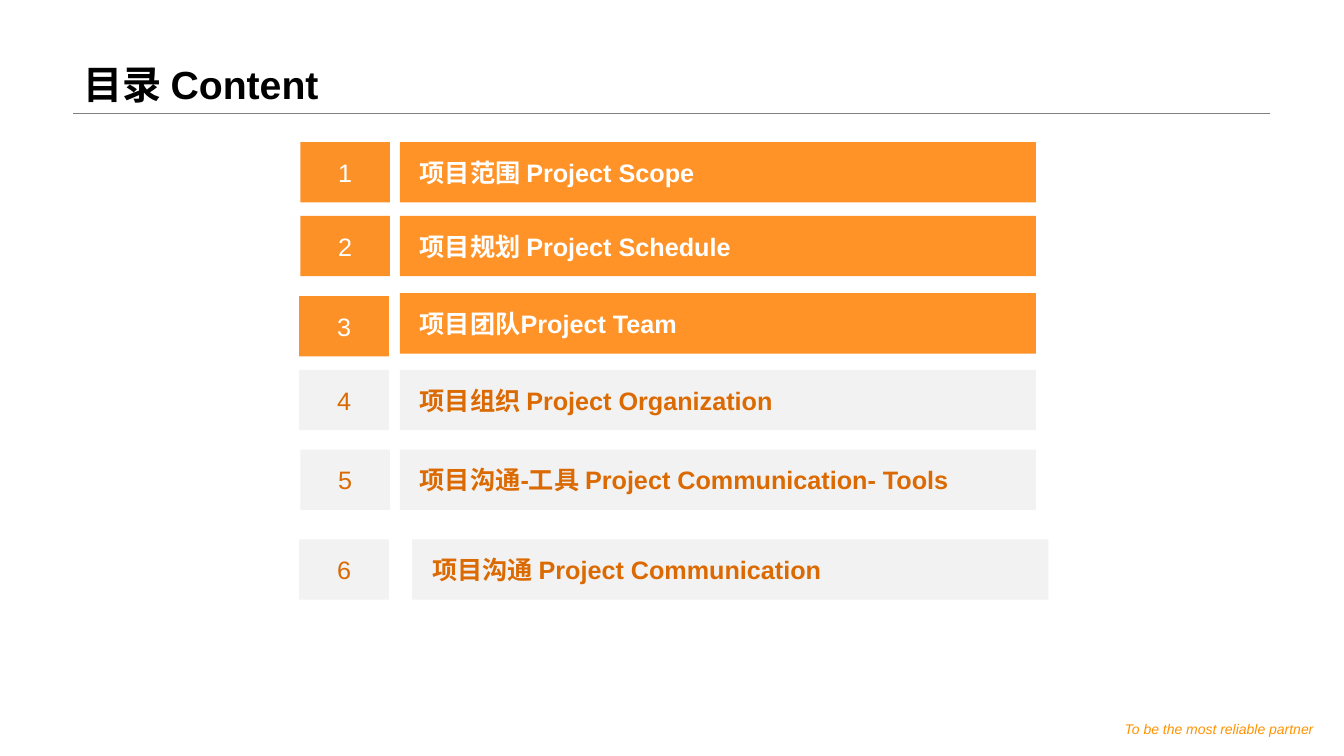
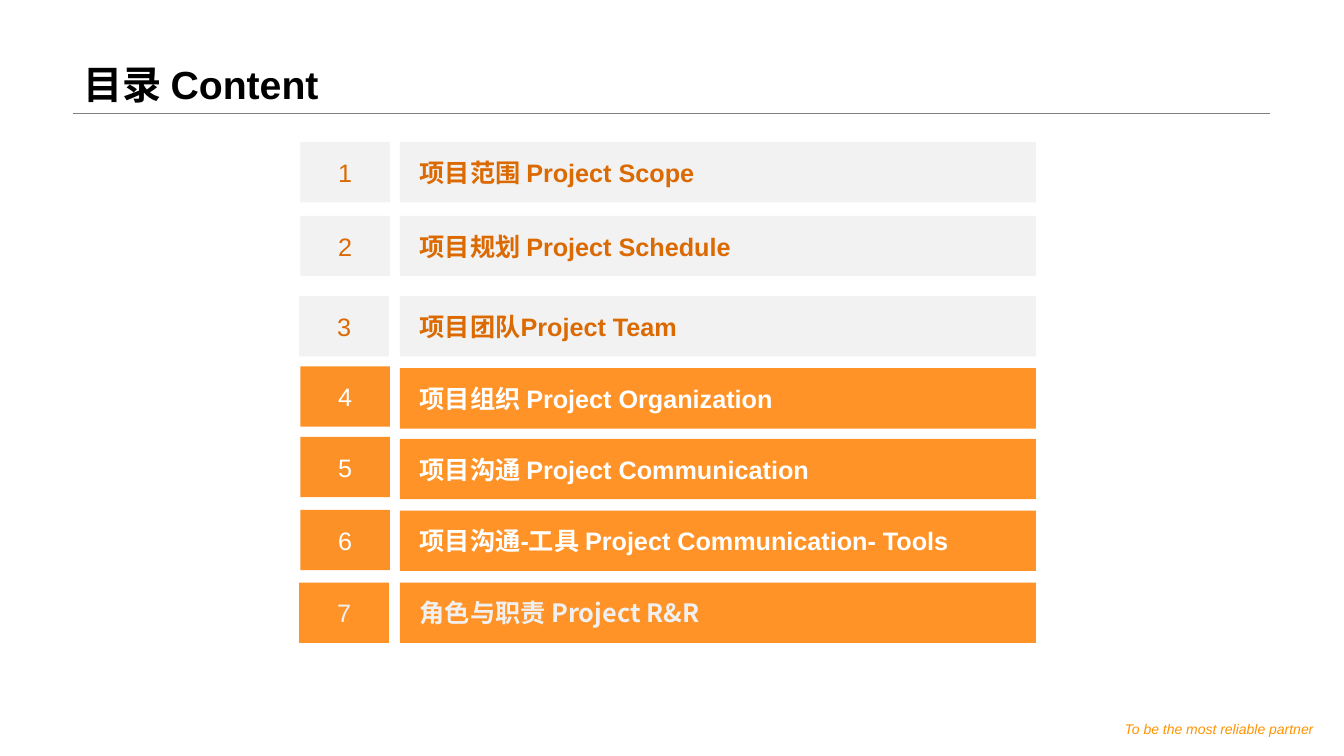
import dataclasses

import lxml.etree
import pptx
import pptx.dml.color
import pptx.enum.shapes
import pptx.enum.text
import pptx.oxml.ns
import pptx.util

Cm = pptx.util.Cm
Pt = pptx.util.Pt
ANCHOR = pptx.enum.text.MSO_ANCHOR
ALIGN = pptx.enum.text.PP_ALIGN
FIT = pptx.enum.text.MSO_AUTO_SIZE

LATIN = "Arial"
CHINESE = "Noto Sans CJK SC"
MARGIN, CONTENT_WIDTH, RULE_TOP = 1.85, 30.15, 2.84
AGENDA_LEFT = 7.54
LABEL_OFFSET = 2.54
NUMBER_WIDTH, LABEL_WIDTH, ENTRY_HEIGHT = 2.26, 16.03, 1.52


@dataclasses.dataclass
class Style:
    """Colours and Latin font of an agenda entry."""
    number_fill: str
    label_fill: str
    ink: str
    label_font: str = LATIN


@dataclasses.dataclass
class Entry:
    """One agenda entry, with its top and small shifts of its two cells."""
    label: str
    top: float
    style: Style
    number_shift: float = 0
    label_shift: float = 0
    label_drop: float = 0


ACTIVE = Style("FC9127", "FF9328", "FFFFFF")
QUIET = Style("F2F2F2", "F2F2F2", "DB6A03")
CLOSING = Style("FF9328", "FF9328", "F0F0F0", CHINESE)

SCOPE = "项目范围 Project Scope"
SCHEDULE = "项目规划 Project Schedule"
TEAM = "项目团队Project Team"
ORGANIZATION = "项目组织 Project Organization"
COMMUNICATION = "项目沟通 Project Communication"
TOOLS = "项目沟通-工具 Project Communication- Tools"
ROLES = "角色与职责 Project R&R"

AGENDAS = [
    [
        Entry(SCOPE, 3.58, ACTIVE, 0.03),
        Entry(SCHEDULE, 5.44, ACTIVE, 0.03),
        Entry(TEAM, 7.46, ACTIVE, label_drop=-0.07),
        Entry(ORGANIZATION, 9.32, QUIET),
        Entry(TOOLS, 11.33, QUIET, 0.03),
        Entry(COMMUNICATION, 13.59, QUIET, label_shift=0.31),
    ],
    [
        Entry(SCOPE, 3.58, QUIET, 0.03),
        Entry(SCHEDULE, 5.44, QUIET, 0.03),
        Entry(TEAM, 7.46, QUIET),
        Entry(ORGANIZATION, 9.23, ACTIVE, 0.03, label_drop=0.05),
        Entry(COMMUNICATION, 11.01, ACTIVE, 0.03, label_drop=0.05),
        Entry(TOOLS, 12.85, ACTIVE, 0.03, label_drop=0.02),
        Entry(ROLES, 14.68, CLOSING),
    ],
]


def rgb(code):
    """Turn a hex string into a colour."""
    return pptx.dml.color.RGBColor.from_string(code)


def write(frame, text, size, ink, align=ALIGN.LEFT, font=LATIN, bold=False, italic=False):
    """Fill a text frame with one formatted paragraph and return the paragraph."""
    frame.text = text
    paragraph = frame.paragraphs[0]
    paragraph.alignment = align
    run = paragraph.runs[0]
    run.font.size = Pt(size)
    run.font.bold = bold
    run.font.italic = italic
    run.font.color.rgb = rgb(ink)
    run.font.name = font
    east_asian = lxml.etree.SubElement(run._r.get_or_add_rPr(), pptx.oxml.ns.qn("a:ea"))
    east_asian.set("typeface", CHINESE)
    return paragraph


def set_insets(frame, left, top, right, bottom):
    """Set the four text insets in centimetres."""
    frame.margin_left, frame.margin_top = Cm(left), Cm(top)
    frame.margin_right, frame.margin_bottom = Cm(right), Cm(bottom)


def add_cell(slide, left, top, width, fill):
    """Add a plain rectangle of an agenda entry and return its text frame."""
    cell = slide.shapes.add_shape(
        pptx.enum.shapes.MSO_SHAPE.RECTANGLE, Cm(left), Cm(top), Cm(width), Cm(ENTRY_HEIGHT))
    cell.shadow.inherit = False
    cell.fill.solid()
    cell.fill.fore_color.rgb = rgb(fill)
    cell.line.fill.background()
    cell.text_frame.vertical_anchor = ANCHOR.MIDDLE
    return cell.text_frame


def add_entry(slide, left, number, entry):
    """Add the number cell and label cell of an agenda entry."""
    style = entry.style
    number_frame = add_cell(
        slide, left + entry.number_shift, entry.top, NUMBER_WIDTH, style.number_fill)
    set_insets(number_frame, 0, 0, 0, 0)
    number_frame.word_wrap = False
    write(number_frame, str(number), 18, style.ink, ALIGN.CENTER)

    label_frame = add_cell(
        slide, left + LABEL_OFFSET + entry.label_shift, entry.top + entry.label_drop,
        LABEL_WIDTH, style.label_fill)
    set_insets(label_frame, 0.5, 0.13, 0.2, 0.13)
    label_frame.word_wrap = True
    write(label_frame, entry.label, 18, style.ink, font=style.label_font, bold=True)


def add_frame_parts(slide, layout):
    """Build the title rule and tagline and move them to the shared layout."""
    rule = slide.shapes.add_connector(
        pptx.enum.shapes.MSO_CONNECTOR.STRAIGHT,
        Cm(MARGIN), Cm(RULE_TOP), Cm(MARGIN + CONTENT_WIDTH), Cm(RULE_TOP))
    rule.line.color.rgb = rgb("808080")
    rule.line.width = Pt(0.25)
    lxml.etree.SubElement(rule.element.spPr, pptx.oxml.ns.qn("a:effectLst"))

    tagline = slide.shapes.add_textbox(Cm(28.14), Cm(17.98), Cm(5.16), Cm(0.76))
    set_insets(tagline.text_frame, 0.18, 0.18, 0.18, 0.18)
    tagline.text_frame.word_wrap = False
    tagline.text_frame.auto_size = FIT.SHAPE_TO_FIT_TEXT
    write(tagline.text_frame, "To be the most reliable partner", 10, "FF9300",
          ALIGN.CENTER, italic=True)
    for part in (rule, tagline):
        layout.shapes.element.append(part.element)


def add_title(slide, text):
    """Place and format the slide title above the rule."""
    title = slide.shapes.title
    title.left, title.top = Cm(MARGIN), Cm(0)
    title.width, title.height = Cm(CONTENT_WIDTH), Cm(RULE_TOP)
    title.text_frame.vertical_anchor = ANCHOR.BOTTOM
    title.text_frame.auto_size = FIT.NONE
    title.text_frame.word_wrap = True
    write(title.text_frame, text, 28, "000000", bold=True).line_spacing = 0.9


def add_agenda_slide(deck, layout, entries):
    """Add a contents slide with numbered entries."""
    slide = deck.slides.add_slide(layout)
    add_title(slide, "目录 Content")
    for number, entry in enumerate(entries, 1):
        add_entry(slide, AGENDA_LEFT, number, entry)
    return slide


def main():
    """Build and save the deck."""
    deck = pptx.Presentation()
    deck.slide_width, deck.slide_height = Cm(33.87), Cm(19.05)
    layout = deck.slide_layouts.get_by_name("Title Only")
    slides = [add_agenda_slide(deck, layout, entries) for entries in AGENDAS]
    add_frame_parts(slides[0], layout)
    deck.save("out.pptx")


if __name__ == "__main__":
    main()
